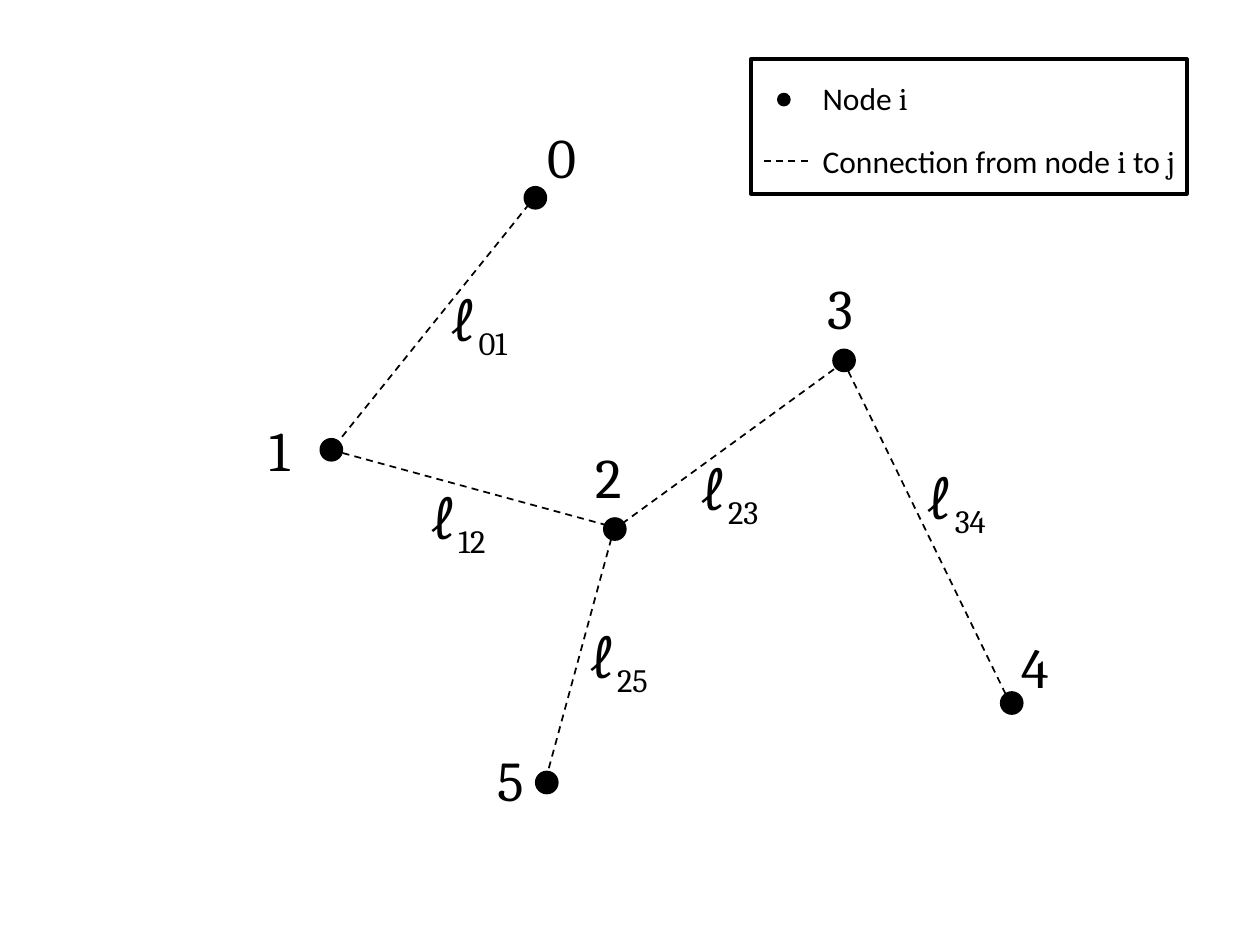
"""Build a slide with a six-node network, its link labels and a legend."""
from dataclasses import dataclass

from lxml import etree
from pptx import Presentation
from pptx.dml.color import RGBColor
from pptx.enum.dml import MSO_LINE
from pptx.enum.shapes import MSO_CONNECTOR, MSO_SHAPE
from pptx.enum.text import MSO_AUTO_SIZE
from pptx.oxml.ns import qn
from pptx.util import Pt

OVAL = MSO_SHAPE.OVAL
RECT = MSO_SHAPE.RECTANGLE
LINE = MSO_CONNECTOR.STRAIGHT
DASH = MSO_LINE.DASH
GROW = MSO_AUTO_SIZE.SHAPE_TO_FIT_TEXT


@dataclass(frozen=True)
class Theme:
    ink: RGBColor = RGBColor(0, 0, 0)
    math: str = "Cambria"
    body: str = "Calibri"
    big: int = 32
    small: int = 18
    edge: int = 2
    thin: int = 1


theme = Theme()


def style(shape, solid=False, dash=False):
    shape.line.color.rgb = theme.ink
    shape.line.width = Pt(theme.thin if dash else theme.edge)
    if dash:
        shape.line.dash_style = DASH
    else:
        shape.fill.background()
    if solid:
        shape.fill.solid()
        shape.fill.fore_color.rgb = theme.ink
    etree.SubElement(shape._element.spPr, qn("a:effectLst"))


def write(tree, box, size, parts):
    frame = tree.add_textbox(*map(Pt, box)).text_frame
    frame.word_wrap = False
    frame.auto_size = GROW
    para = frame.paragraphs[0]
    para.font.size = Pt(size)
    para.font.color.rgb = theme.ink
    for text, face in parts:
        run = para.add_run()
        run.text = text
        run.font.name = face
    return para


deck = Presentation()
deck.slide_width, deck.slide_height = Pt(720), Pt(540)
tree = deck.slides.add_slide(deck.slide_layouts[6]).shapes

dot = 11.5
nodes = [
    ("0", 300.2, 107.3, 306, 66.2),
    ("1", 183.6, 251.3, 146.9, 234),
    ("2", 345.6, 296.6, 333.4, 249.1),
    ("3", 476.6, 200.2, 465.8, 152.6),
    ("4", 572.4, 396, 576.7, 357.8),
    ("5", 306.7, 441.4, 277.2, 422.6),
]
links = [
    ("01", (302.4, 116.6, 193, 252.7), 249.8, 159.8),
    ("12", (347, 300.2, 194.4, 258.5), 238.3, 272.9),
    ("23", (476.6, 211, 349.2, 303.8), 392.4, 256.3),
    ("25", (311.8, 445.7, 350.6, 303.1), 329, 352.1),
    ("34", (481.7, 205.9, 578.2, 403.9), 522, 261.4),
]

for name, left, top, x, y in nodes:
    style(tree.add_shape(OVAL, Pt(left), Pt(top), Pt(dot), Pt(dot)), solid=True)
    write(tree, (x, y, 32.4, 46), theme.big, [(name, theme.math)])

for pair, ends, x, y in links:
    style(tree.add_connector(LINE, *map(Pt, ends)), dash=True)
    para = write(tree, (x, y, 55.4, 46), theme.big,
                 [("ℓ", theme.math), (pair, theme.math)])
    para.runs[1]._r.get_or_add_rPr().set("baseline", "-25000")

key = tree.add_group_shape().shapes
style(key.add_shape(OVAL, Pt(445), Pt(54), Pt(5.8), Pt(5.8)), solid=True)
write(key, (463, 41.8, 64, 28.8), theme.small,
      [("Node ", theme.body), ("i", theme.math)])
style(key.add_connector(LINE, Pt(461.5), Pt(92.2), Pt(434.9), Pt(92.2)), dash=True)
write(key, (463, 77.8, 218.9, 28.8), theme.small,
      [("Connection from node ", theme.body), ("i ", theme.math),
       ("to", theme.body), (" j", theme.math)])
style(key.add_shape(RECT, Pt(429.1), Pt(33.8), Pt(249.1), Pt(77)))

deck.save("out.pptx")
